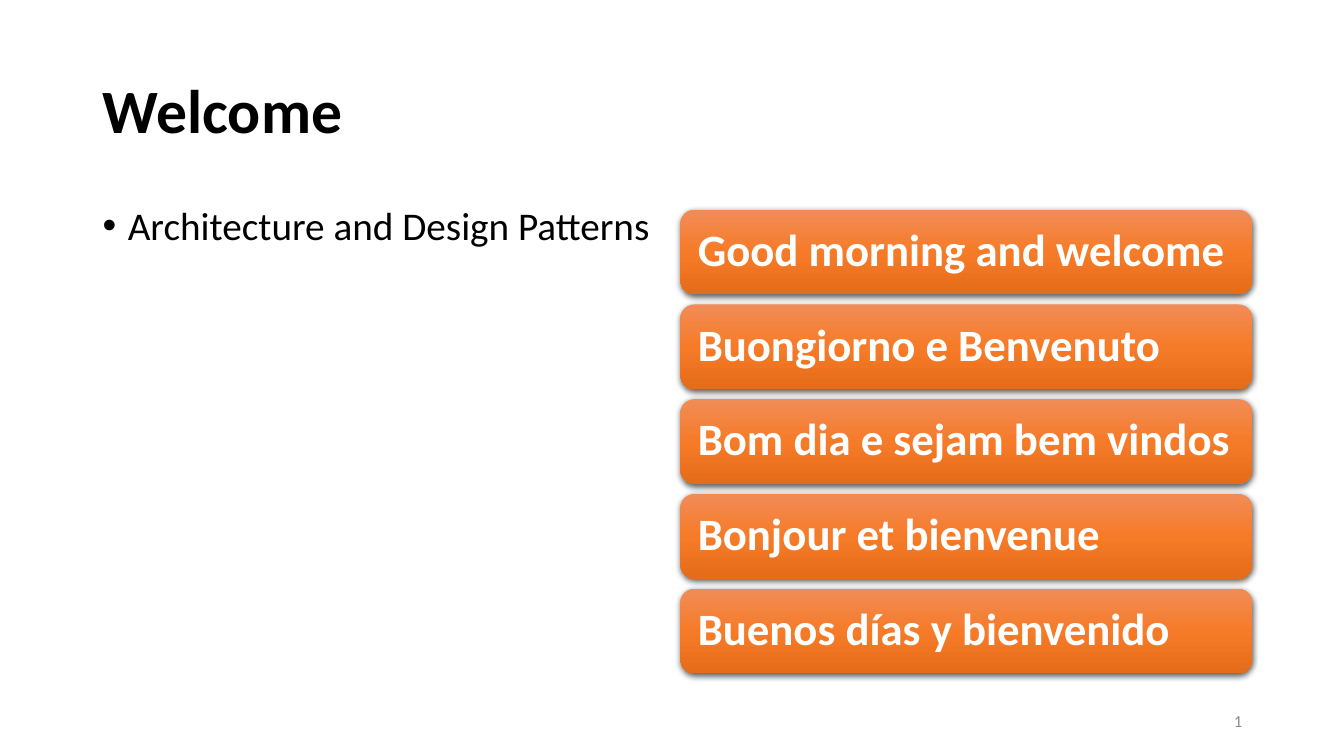
"""Build a welcome slide with a stack of greetings in five languages."""
from dataclasses import dataclass

from lxml.etree import SubElement
from pptx import Presentation
from pptx.dml.color import RGBColor
from pptx.enum.shapes import MSO_SHAPE
from pptx.enum.text import MSO_ANCHOR, PP_ALIGN
from pptx.oxml.ns import qn
from pptx.shapes.autoshape import Shape
from pptx.slide import Slide
from pptx.util import Inches, Pt

FONT = "Calibri"
GREETINGS = (
    "Good morning and welcome",
    "Buongiorno e Benvenuto",
    "Bom dia e sejam bem vindos",
    "Bonjour et bienvenue",
    "Buenos días y bienvenido",
)
BAR_LEFT, BAR_TOP, BAR_WIDTH, BAR_HEIGHT = 6.75, 2.08, 5.67, 0.84
BAR_STEP = 0.94
BAR_INSET = 0.13
BAR_GRADIENT = ((0, "F18C57"), (50, "F67B28"), (100, "E56C19"))
DOWNWARD = 90 * 60000


@dataclass(frozen=True)
class Label:
    """A piece of text with its place and format."""

    text: str
    left: float
    top: float
    width: float
    height: float
    size: float
    color: str = "000000"
    bold: bool = False
    anchor: MSO_ANCHOR = MSO_ANCHOR.MIDDLE
    align: PP_ALIGN = PP_ALIGN.LEFT
    line_spacing: float = 0.9
    space_before: float = 0
    bullet_indent: float = 0

    def bounds(self) -> tuple:
        """Return left, top, width and height as lengths."""
        return tuple(Inches(value) for value in (self.left, self.top, self.width, self.height))


LABELS = (
    Label("Welcome", 0.92, 0.4, 11.5, 1.45, 44, bold=True),
    Label("Architecture and Design Patterns", 0.92, 2, 5.67, 4.76, 28,
          anchor=MSO_ANCHOR.TOP, space_before=10, bullet_indent=0.25),
    Label("1", 9.42, 6.95, 3, 0.4, 12, color="8C8C8C", align=PP_ALIGN.RIGHT, line_spacing=1),
)


def rgb(color: str) -> RGBColor:
    """Turn a hex string into a colour."""
    return RGBColor.from_string(color)


def apply_format(target: object, values: dict) -> None:
    """Set every attribute named in the format values."""
    for name, value in values.items():
        setattr(target, name, value)


def write_text(box: Shape, label: Label) -> None:
    """Put the label's formatted text into a shape."""
    frame = box.text_frame
    apply_format(frame, {"word_wrap": True, "vertical_anchor": label.anchor})
    para = frame.paragraphs[0]
    apply_format(para, {
        "alignment": label.align,
        "line_spacing": label.line_spacing,
        "space_before": Pt(label.space_before),
    })
    span = para.add_run()
    span.text = label.text
    apply_format(span.font, {"name": FONT, "size": Pt(label.size), "bold": label.bold})
    span.font.color.rgb = rgb(label.color)
    if label.bullet_indent:
        indent = Inches(label.bullet_indent)
        properties = para._p.get_or_add_pPr()
        properties.set("marL", str(indent))
        properties.set("indent", str(-indent))
        SubElement(properties, qn("a:buFont"), typeface="Arial")
        SubElement(properties, qn("a:buChar"), char="•")


def add_label(page: Slide, label: Label) -> None:
    """Add a plain text box."""
    write_text(page.shapes.add_textbox(*label.bounds()), label)


def add_gradient(bar: Shape) -> None:
    """Fill a bar with the vertical orange gradient."""
    gradient = SubElement(bar._element.spPr, qn("a:gradFill"), rotWithShape="1")
    stops = SubElement(gradient, qn("a:gsLst"))
    for position, color in BAR_GRADIENT:
        stop = SubElement(stops, qn("a:gs"), pos=str(position * 1000))
        SubElement(stop, qn("a:srgbClr"), val=color)
    SubElement(gradient, qn("a:lin"), ang=str(DOWNWARD), scaled="0")


def add_shadow(bar: Shape) -> None:
    """Give a bar a soft shadow below it."""
    bar.shadow.inherit = False
    effects = bar._element.spPr.find(qn("a:effectLst"))
    shadow = SubElement(effects, qn("a:outerShdw"), blurRad=str(Pt(4.5)), dist=str(Pt(1.5)),
                        dir=str(DOWNWARD), algn="ctr", rotWithShape="0")
    color = SubElement(shadow, qn("a:srgbClr"), val="000000")
    SubElement(color, qn("a:alpha"), val="63000")


def add_greeting(page: Slide, label: Label) -> None:
    """Add a rounded bar that holds one greeting."""
    bar = page.shapes.add_shape(MSO_SHAPE.ROUNDED_RECTANGLE, *label.bounds())
    add_gradient(bar)
    bar.line.fill.background()
    add_shadow(bar)
    sides = ("left", "top", "right", "bottom")
    apply_format(bar.text_frame, {f"margin_{side}": Inches(BAR_INSET) for side in sides})
    write_text(bar, label)


def main() -> None:
    """Build and save the deck."""
    deck = Presentation()
    apply_format(deck, {"slide_width": Inches(13.33), "slide_height": Inches(7.5)})
    page = deck.slides.add_slide(deck.slide_layouts[6])
    for label in LABELS:
        add_label(page, label)
    for row, greeting in enumerate(GREETINGS):
        add_greeting(page, Label(greeting, BAR_LEFT, BAR_TOP + row * BAR_STEP, BAR_WIDTH,
                                 BAR_HEIGHT, 32, color="FFFFFF", bold=True))
    deck.save("out.pptx")


if __name__ == "__main__":
    main()
